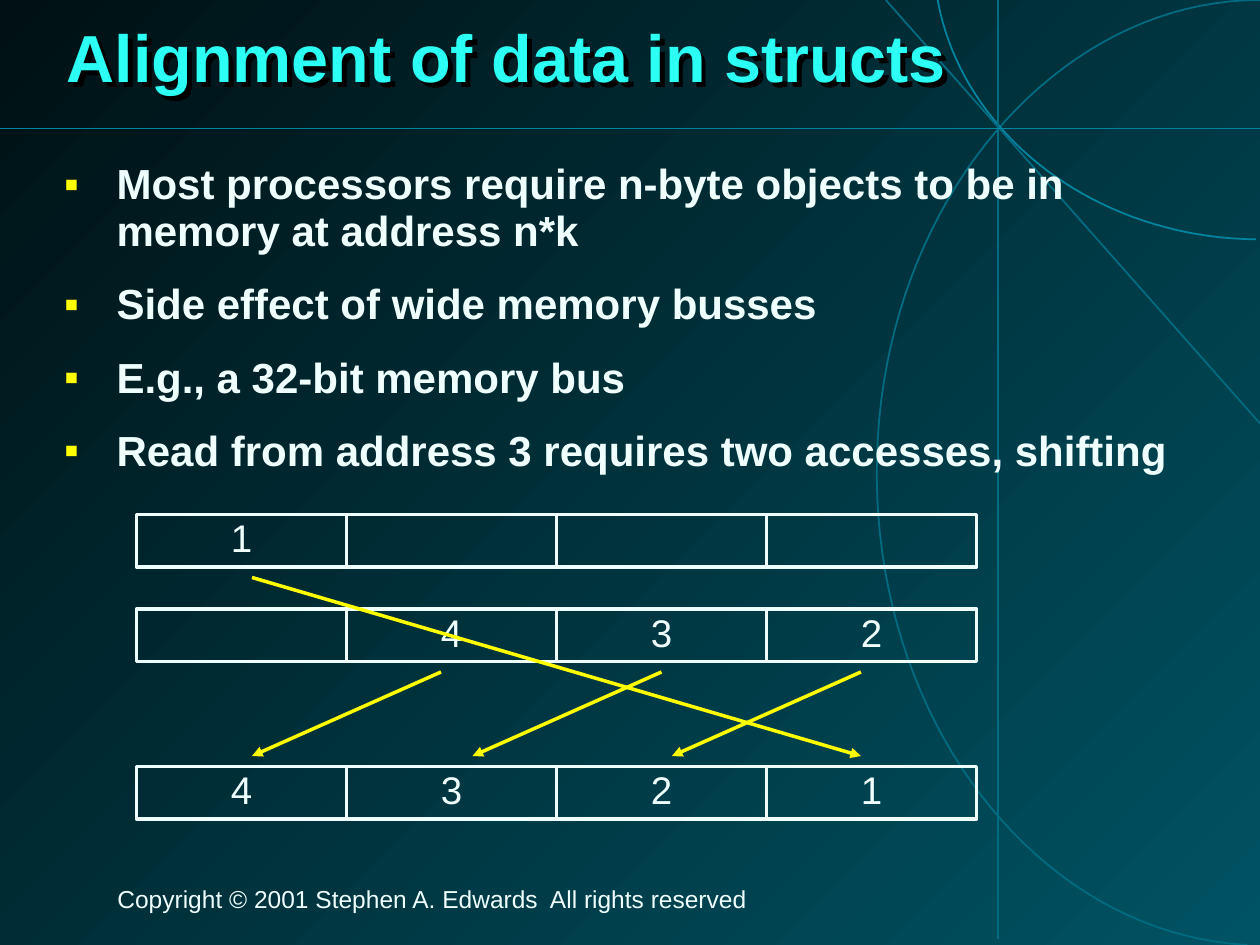
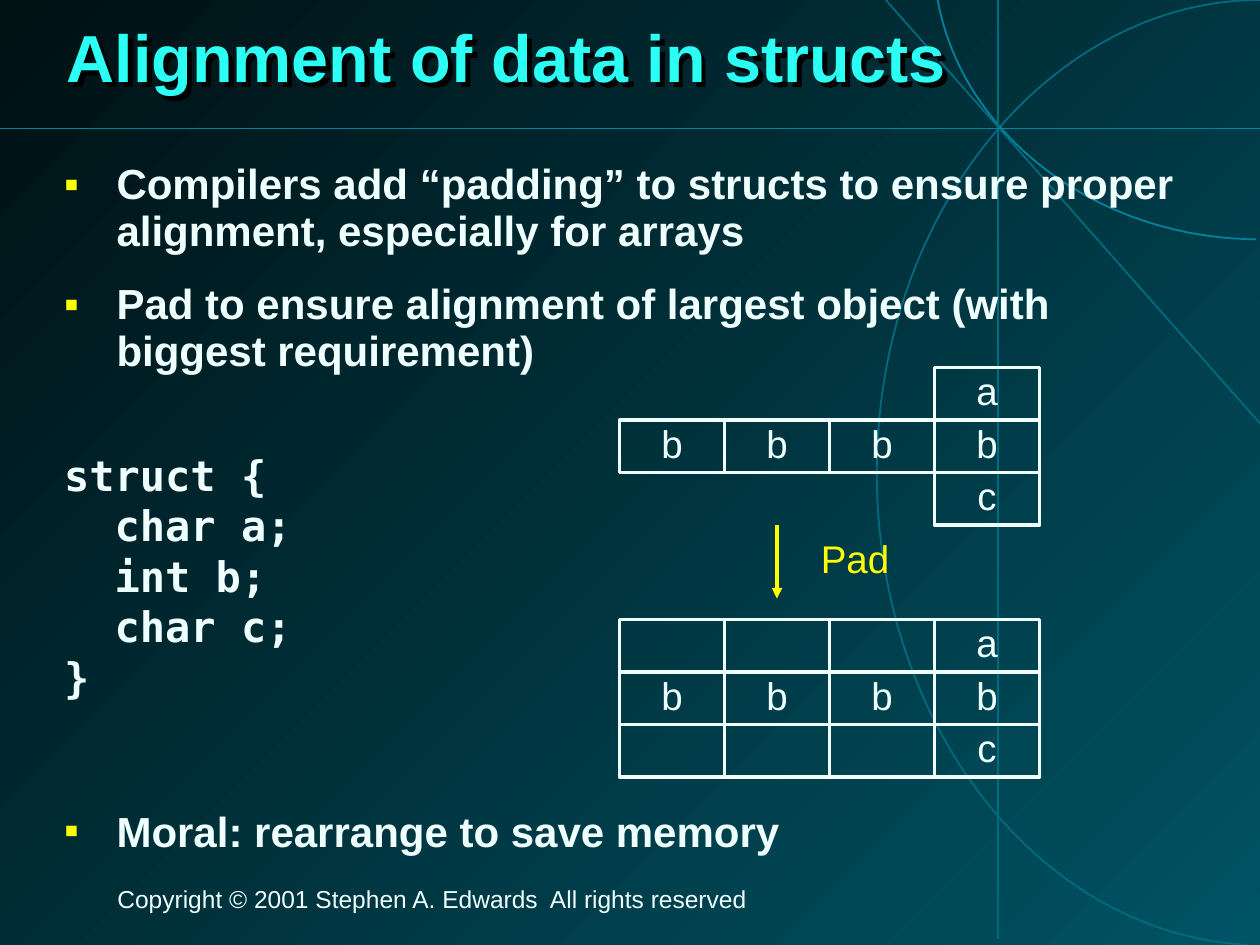
from collections import namedtuple

from lxml.etree import SubElement
from pptx import Presentation
from pptx.dml.color import RGBColor
from pptx.enum.shapes import MSO_CONNECTOR as Connector, MSO_SHAPE as Shape
from pptx.enum.text import MSO_ANCHOR as Anchor, MSO_AUTO_SIZE as AutoSize, PP_ALIGN as Align
from pptx.oxml.ns import qn
from pptx.util import Pt

# Shared colours, fonts and text formats
TEAL = RGBColor(0x00, 0x53, 0x64)
NIGHT = RGBColor(0x00, 0x10, 0x13)
DIM_LINE = RGBColor(0x00, 0x6C, 0x82)
BRIGHT_LINE = RGBColor(0x00, 0x85, 0xA0)
CYAN = RGBColor(0x2C, 0xFF, 0xF3)
PALE = RGBColor(0xEF, 0xFF, 0xFD)
YELLOW = RGBColor(0xFF, 0xFF, 0x00)

SANS, MONO = "Arial", "DejaVu Sans Mono"
TITLE_FONT = {"name": SANS, "size": Pt(38), "bold": True}
BODY_FONT = {"name": SANS, "size": Pt(24), "bold": True}
CODE_FONT = {**BODY_FONT, "name": MONO}
LABEL_FONT = {"name": SANS, "size": Pt(22)}
FOOTER_FONT = {"name": SANS, "size": Pt(14)}

BULLET_PARA = {"line_spacing": 0.93, "space_before": Pt(15)}
CODE_PARA = {"line_spacing": Pt(28.9), "space_before": Pt(0)}
LABEL_PARA = {"line_spacing": 0.85, "space_before": Pt(13.8)}

Box = namedtuple("Box", "left top width height")
PAGE = Box(0, 0, 720, 540)
TITLE = Box(31, 0, 663, 70.6)
BODY = Box(29.5, 89.3, 656.6, 402.5)
FOOTER = Box(60, 504, 582, 21.6)
HANGING = 30
CELL_HEIGHT = 30


def apply(target, values):
    for name, value in values.items():
        setattr(target, name, value)


def in_points(lengths):
    return [Pt(length) for length in lengths]


def write(para, text, font, color, layout):
    apply(para, layout)
    span = para.add_run()
    span.text = text
    apply(span.font, font)
    span.font.color.rgb = color


def add_text_box(page, box, **frame_values):
    shape = page.shapes.add_textbox(*in_points(box))
    apply(shape.text_frame, {"word_wrap": True, **frame_values})
    return shape


def add_line(page, start, end, color, weight=1, arrow=False):
    line = page.shapes.add_connector(Connector.STRAIGHT, *in_points(start + end))
    line.line.color.rgb = color
    line.line.width = Pt(weight)
    properties = line._element.spPr
    if arrow:
        SubElement(properties.find(qn("a:ln")), qn("a:tailEnd"), type="triangle")
    SubElement(properties, qn("a:effectLst"))


# Backdrop
def bezier(start, first, second, end, steps=40):
    """Points along a cubic curve."""
    for step in range(steps + 1):
        t = step / steps
        u = 1 - t
        yield tuple(
            u**3 * a + 3 * u * u * t * b + 3 * u * t * t * c + t**3 * d
            for a, b, c, d in zip(start, first, second, end)
        )


def add_curve(page, segments, color):
    points = [in_points(point) for segment in segments for point in bezier(*segment)]
    builder = page.shapes.build_freeform(*points[0], scale=1.0)
    builder.add_line_segments(points[1:], close=False)
    curve = builder.convert_to_shape()
    curve.shadow.inherit = False
    curve.fill.background()
    curve.line.color.rgb = color
    curve.line.width = Pt(1)


def add_backdrop(page, box):
    fill = page.background.fill
    fill.gradient()
    fill.gradient_angle = 135
    for stop, color, position in zip(fill.gradient_stops, (TEAL, NIGHT), (0, 1)):
        stop.color.rgb = color
        stop.position = position

    large_arc = [
        ((712.8, 540), (591.8, 533.5), (497.5, 409.7), (501.1, 262)),
        ((501.1, 262), (504.7, 114.5), (604.8, 0), (720, 0)),
    ]
    small_arc = [((717.8, 136.8), (627, 136), (550, 77.8), (535.8, 0))]
    add_curve(page, large_arc, DIM_LINE)
    add_curve(page, small_arc, BRIGHT_LINE)
    add_line(page, (box.width, 242), (506.2, 0), DIM_LINE)
    add_line(page, (570.2, 0), (570.2, 536.4), DIM_LINE)
    add_line(page, (0, 73.4), (box.width, 73.4), BRIGHT_LINE)


# Title and footer
def add_title(page, box, text):
    title = add_text_box(page, box, vertical_anchor=Anchor.MIDDLE)
    write(title.text_frame.paragraphs[0], text, TITLE_FONT, CYAN, {"line_spacing": 0.87})
    effects = SubElement(title._element.spPr, qn("a:effectLst"))
    shadow = SubElement(effects, qn("a:outerShdw"), dist=str(Pt(4)), dir="2700000")
    SubElement(shadow, qn("a:srgbClr"), val="000000")


def add_footer(page, box):
    footer = add_text_box(page, box, auto_size=AutoSize.SHAPE_TO_FIT_TEXT)
    write(footer.text_frame.paragraphs[0],
          "Copyright © 2001 Stephen A. Edwards  All rights reserved",
          FOOTER_FONT, PALE, {"line_spacing": 0.85, "space_before": Pt(8.8)})


# Body text: each entry is (text, is_code, changes to the paragraph format)
def add_bullet(para):
    properties = para._p.get_or_add_pPr()
    properties.set("marL", str(Pt(HANGING)))
    properties.set("indent", str(-Pt(HANGING)))
    color = SubElement(properties, qn("a:buClr"))
    SubElement(color, qn("a:srgbClr"), val=str(YELLOW))
    SubElement(properties, qn("a:buFont"), typeface=SANS)
    SubElement(properties, qn("a:buChar"), char="▪")


def add_body(page, box, entries):
    frame = add_text_box(page, box).text_frame
    for index, (text, is_code, changes) in enumerate(entries):
        para = frame.add_paragraph() if index else frame.paragraphs[0]
        font, layout = (CODE_FONT, CODE_PARA) if is_code else (BODY_FONT, BULLET_PARA)
        write(para, text, font, PALE, {**layout, **changes})
        if not is_code:
            add_bullet(para)


# Memory words: one rectangle per byte, None leaves the place free
def add_memory(page, left, top, cell_width, rows):
    for row, labels in enumerate(rows):
        for column, label in enumerate(labels):
            if label is None:
                continue
            box = Box(left + column * cell_width, top + row * CELL_HEIGHT,
                      cell_width, CELL_HEIGHT)
            cell = page.shapes.add_shape(Shape.RECTANGLE, *in_points(box))
            cell.shadow.inherit = False
            cell.fill.background()
            cell.line.color.rgb = PALE
            cell.line.width = Pt(2)
            if label:
                apply(cell.text_frame, {"word_wrap": False, "vertical_anchor": Anchor.MIDDLE})
                write(cell.text_frame.paragraphs[0], label, LABEL_FONT, PALE,
                      {**LABEL_PARA, "alignment": Align.CENTER})


def add_misaligned_read(page, box):
    cell_width = box.width / 4
    for offset, labels in ((54, ["", "4", "3", "2"]), (0, ["1", "", "", ""]),
                           (144, ["4", "3", "2", "1"])):
        add_memory(page, box.left, box.top + offset, cell_width, [labels])
    # Bytes shifted into the result word: (start x, start y, end x)
    for start, height, end in ((66, 36, 414), (414, 90, 306), (300, 90, 192), (174, 90, 66)):
        add_line(page, (box.left + start, box.top + height),
                 (box.left + end, box.top + 138), YELLOW, 2, arrow=True)


def add_padding(page, box):
    cell_width = box.width / 4
    for offset, gap in ((0, None), (144, "")):
        rows = [[gap] * 3 + ["a"], ["b"] * 4, [gap] * 3 + ["c"]]
        add_memory(page, box.left, box.top + offset, cell_width, rows)
    x = box.left + 1.5 * cell_width
    add_line(page, (x, box.top + 90), (x, box.top + 132), YELLOW, 2, arrow=True)
    label = add_text_box(page, Box(x + 18, box.top + 96, 60, 29.5),
                         auto_size=AutoSize.SHAPE_TO_FIT_TEXT)
    write(label.text_frame.paragraphs[0], "Pad", LABEL_FONT, YELLOW, LABEL_PARA)


def add_page(deck, title, entries):
    page = deck.slides.add_slide(deck.slide_layouts[6])
    add_backdrop(page, PAGE)
    add_footer(page, FOOTER)
    add_title(page, TITLE, title)
    add_body(page, BODY, entries)
    return page


def main():
    deck = Presentation()
    deck.slide_width, deck.slide_height = Pt(PAGE.width), Pt(PAGE.height)
    title = "Alignment of data in structs"

    reading = add_page(deck, title, [
        ("Most processors require n-byte objects to be in memory at address n*k", False, {}),
        ("Side effect of wide memory busses", False, {}),
        ("E.g., a 32-bit memory bus", False, {}),
        ("Read from address 3 requires two accesses, shifting", False, {}),
    ])
    add_misaligned_read(reading, Box(78, 294, 480, 174))

    padding = add_page(deck, title, [
        ("Compilers add “padding” to structs to ensure proper alignment, "
         "especially for arrays", False, {}),
        ("Pad to ensure alignment of largest object (with biggest requirement)", False, {}),
        ("struct {", True, {"space_before": Pt(41.5)}),
        ("  char a;", True, {}),
        ("  int b;", True, {}),
        ("  char c;", True, {}),
        ("}", True, {}),
        ("Moral: rearrange to save memory", False,
         {"line_spacing": 1.0, "space_before": Pt(59)}),
    ])
    add_padding(padding, Box(354, 210, 240, 234))

    deck.save("out.pptx")


if __name__ == "__main__":
    main()
